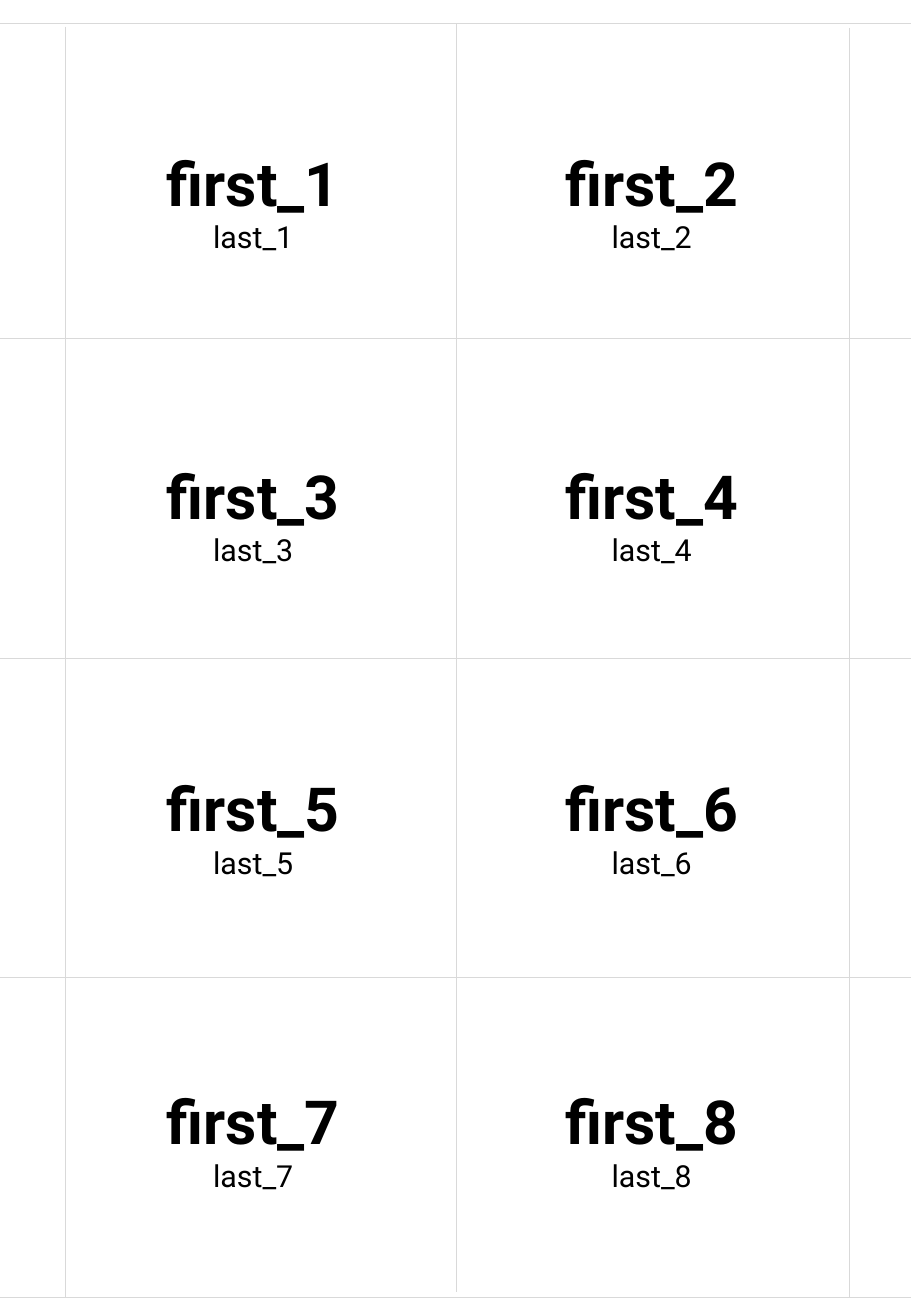
"""Build a printable sheet of eight name cards separated by thin cutting lines."""
from dataclasses import dataclass

import lxml.etree
import pptx
import pptx.dml.color
import pptx.enum.shapes
import pptx.enum.text
import pptx.oxml.ns
import pptx.slide
import pptx.text.text
import pptx.util

Inches = pptx.util.Inches
BLACK = pptx.dml.color.RGBColor(0x00, 0x00, 0x00)
CUT_GREY = pptx.dml.color.RGBColor(0xD9, 0xD9, 0xD9)
FONT = "Roboto"

SHEET_WIDTH, SHEET_HEIGHT = 7.5, 10.84
COLUMNS, ROWS = 2, 4
CARD_LEFT, CARD_TOP = 0.51, 1.15
CARD_WIDTH, CARD_HEIGHT = 3.15, 1.0
COLUMN_PITCH = 3.28
ROW_PITCH = (8.88 - CARD_TOP) / (ROWS - 1)


@dataclass(frozen=True)
class NameCard:
    number: int
    left: float
    top: float


@dataclass(frozen=True)
class CutLine:
    start_x: float
    start_y: float
    end_x: float
    end_y: float


NAME_CARDS = [
    NameCard(
        number=row * COLUMNS + column + 1,
        left=CARD_LEFT + column * COLUMN_PITCH,
        top=CARD_TOP + row * ROW_PITCH,
    )
    for row in range(ROWS)
    for column in range(COLUMNS)
]

VERTICAL_CUTS = [
    CutLine(x, top, x, bottom)
    for x, top, bottom in [(0.54, 0.22, 10.68), (3.76, 0.19, 10.64), (6.99, 0.23, 10.69)]
]
HORIZONTAL_CUTS = [
    CutLine(0, y, SHEET_WIDTH, y) for y in (0.19, 2.79, 5.42, 8.05, 10.69)
]


def add_name(paragraph: pptx.text.text._Paragraph, name: str, size: int, bold: bool) -> None:
    paragraph.alignment = pptx.enum.text.PP_ALIGN.CENTER
    run = paragraph.add_run()
    run.text = name
    run.font.name = FONT
    run.font.size = pptx.util.Pt(size)
    run.font.bold = bold
    run.font.color.rgb = BLACK


def add_name_card(slide: pptx.slide.Slide, card: NameCard) -> None:
    shape = slide.shapes.add_textbox(
        Inches(card.left), Inches(card.top), Inches(CARD_WIDTH), Inches(CARD_HEIGHT)
    )
    text_frame = shape.text_frame
    text_frame.word_wrap = True
    text_frame.auto_size = pptx.enum.text.MSO_AUTO_SIZE.SHAPE_TO_FIT_TEXT
    add_name(text_frame.paragraphs[0], f"first_{card.number}", 36, True)
    add_name(text_frame.add_paragraph(), f"last_{card.number}", 18, False)


def add_cut_line(slide: pptx.slide.Slide, cut: CutLine) -> None:
    connector = slide.shapes.add_connector(
        pptx.enum.shapes.MSO_CONNECTOR.STRAIGHT,
        Inches(cut.start_x), Inches(cut.start_y), Inches(cut.end_x), Inches(cut.end_y),
    )
    connector.line.color.rgb = CUT_GREY
    connector.line.width = pptx.util.Pt(0.5)
    properties = connector._element.spPr
    lxml.etree.SubElement(properties, pptx.oxml.ns.qn("a:effectLst"))


def main() -> None:
    presentation = pptx.Presentation()
    presentation.slide_width = Inches(SHEET_WIDTH)
    presentation.slide_height = Inches(SHEET_HEIGHT)
    slide = presentation.slides.add_slide(presentation.slide_layouts.get_by_name("Blank"))
    for cut in VERTICAL_CUTS + HORIZONTAL_CUTS:
        add_cut_line(slide, cut)
    for card in NAME_CARDS:
        add_name_card(slide, card)
    presentation.save("out.pptx")


if __name__ == "__main__":
    main()
